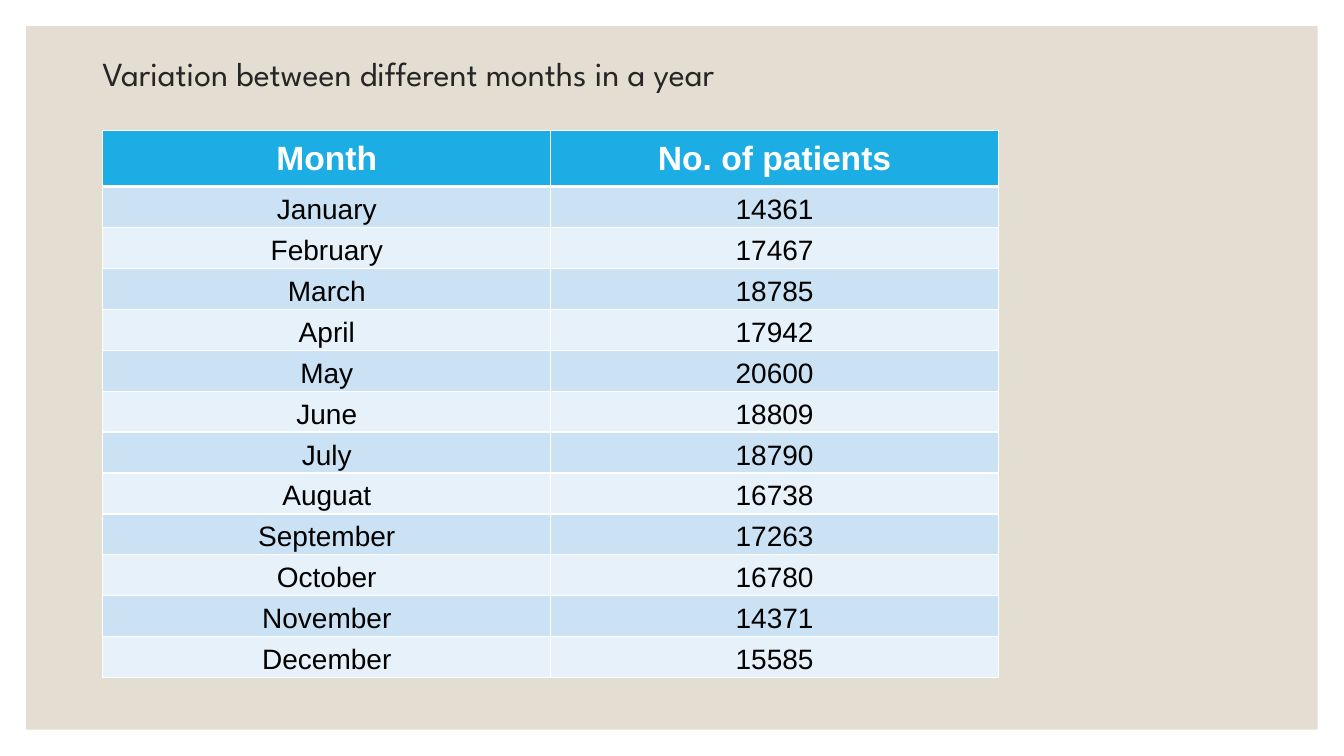
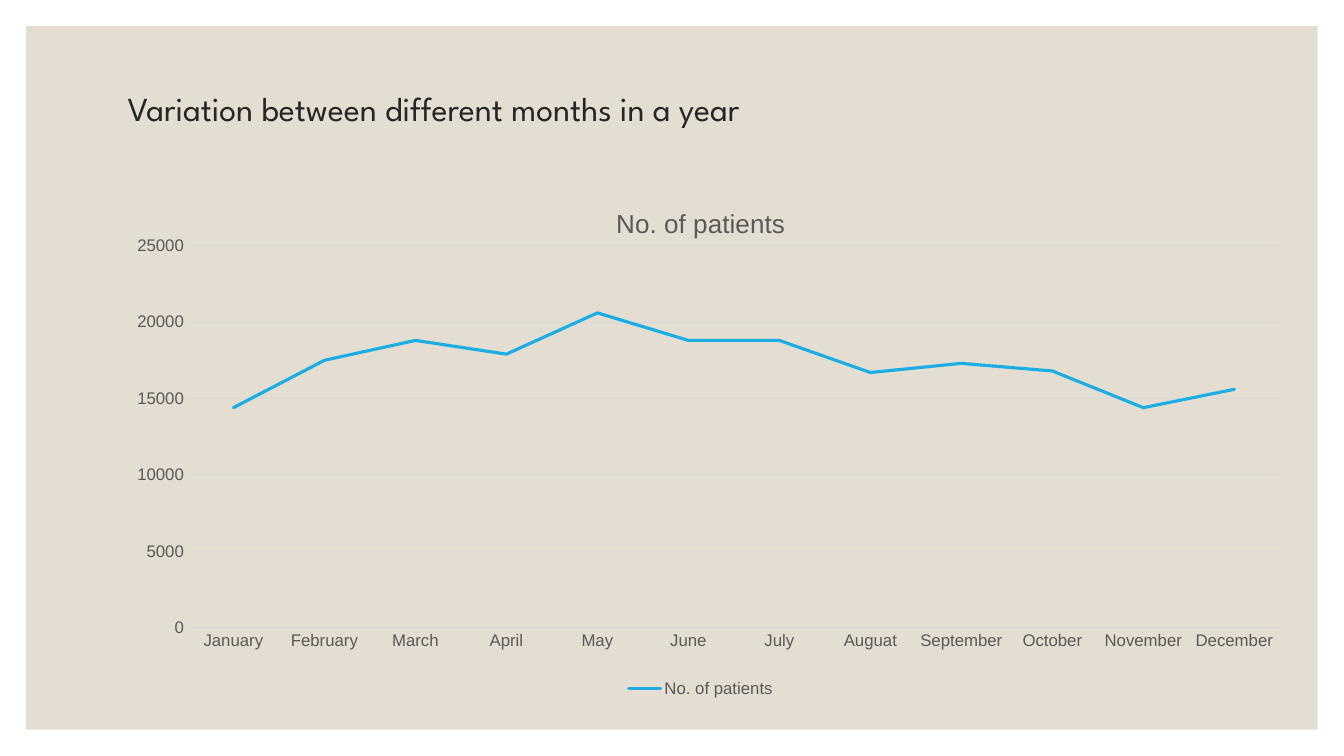
from lxml import etree
from pptx import Presentation
from pptx.chart.data import CategoryChartData
from pptx.dml.color import RGBColor
from pptx.enum.chart import XL_CHART_TYPE, XL_LEGEND_POSITION, XL_TICK_MARK
from pptx.enum.shapes import MSO_SHAPE
from pptx.enum.text import MSO_ANCHOR, MSO_AUTO_SIZE, PP_ALIGN
from pptx.oxml import parse_xml
from pptx.oxml.ns import nsdecls, qn
from pptx.util import Emu, Pt

# Shared look
WHITE = RGBColor(0xFF, 0xFF, 0xFF)
BLACK = RGBColor(0x00, 0x00, 0x00)
SAND = RGBColor(0xE3, 0xDE, 0xD1)
INK = RGBColor(0x26, 0x26, 0x26)
BLUE = RGBColor(0x1C, 0xAD, 0xE4)
BAND_DARK = RGBColor(0xCB, 0xE2, 0xF5)
BAND_LIGHT = RGBColor(0xE7, 0xF1, 0xFA)
GREY = RGBColor(0x59, 0x59, 0x59)
GRID = RGBColor(0xD9, 0xD9, 0xD9)
TITLE_FONT, BODY_FONT = "League Spartan", "Arial"

RECT = MSO_SHAPE.RECTANGLE
LEFT, CENTER = PP_ALIGN.LEFT, PP_ALIGN.CENTER
TOP, MIDDLE, BOTTOM = MSO_ANCHOR.TOP, MSO_ANCHOR.MIDDLE, MSO_ANCHOR.BOTTOM
NO_FIT = MSO_AUTO_SIZE.NONE
LINE_STACKED = XL_CHART_TYPE.LINE_STACKED
LEGEND_BOTTOM = XL_LEGEND_POSITION.BOTTOM
NO_TICK = XL_TICK_MARK.NONE

SLIDE_W, SLIDE_H = 1280, 720
TITLE_LAYOUT = 5
HEADING = "Variation between different months in a year"
MEASURE = "No. of patients"
PATIENTS = {
    "January": 14361, "February": 17467, "March": 18785, "April": 17942,
    "May": 20600, "June": 18809, "July": 18790, "Auguat": 16738,
    "September": 17263, "October": 16780, "November": 14371, "December": 15585,
}


def px(n):
    return Emu(n * 9525)


def px_box(box):
    return [px(n) for n in box]


def style_font(font, size, color, name=BODY_FONT, bold=False):
    font.size, font.name, font.bold = Pt(size), name, bold
    font.color.rgb = color


def add_titled_slide(prs, title_box):
    """Slide with the sand panel behind its title."""
    s = prs.slides.add_slide(prs.slide_layouts[TITLE_LAYOUT])
    s.background.fill.solid()
    s.background.fill.fore_color.rgb = WHITE

    # Panel
    panel = s.shapes.add_shape(RECT, *px_box((25, 25, 1230, 670)))
    panel.shadow.inherit = False
    panel.fill.solid()
    panel.fill.fore_color.rgb = SAND
    panel.line.fill.background()

    # Title
    title = s.shapes.title
    title.element.addprevious(panel.element)
    title.left, title.top, title.width, title.height = px_box(title_box)
    tf = title.text_frame
    tf.text = HEADING
    tf.word_wrap, tf.auto_size, tf.vertical_anchor = True, NO_FIT, MIDDLE
    p = tf.paragraphs[0]
    p.alignment, p.line_spacing = LEFT, 0.9
    style_font(p.runs[0].font, 24, INK, TITLE_FONT)
    return s


def set_borders(cell, top, bottom):
    """White cell borders; widths in points, sides always 1."""
    tc_pr = cell._tc.get_or_add_tcPr()
    for side, width in (("L", 1), ("R", 1), ("T", top), ("B", bottom)):
        tc_pr.append(parse_xml(
            f'<a:ln{side} {nsdecls("a")} w="{Pt(width)}"><a:solidFill>'
            f'<a:srgbClr val="{WHITE}"/></a:solidFill></a:ln{side}>'))


def fill_cell(cell, text, row):
    header = row == 0
    set_borders(cell, 3 if row == 1 else 1, 3 if header else 1)
    cell.fill.solid()
    cell.fill.fore_color.rgb = (
        BLUE if header else BAND_DARK if row % 2 else BAND_LIGHT)
    cell.margin_left = cell.margin_right = px(10 if header else 3)
    cell.margin_top = cell.margin_bottom = px(9 if header else 2)
    cell.vertical_anchor = TOP if header else BOTTOM
    cell.text = text
    p = cell.text_frame.paragraphs[0]
    p.alignment = CENTER
    if header:
        style_font(p.runs[0].font, 24, WHITE, bold=True)
    else:
        p.line_spacing = 1.15
        style_font(p.runs[0].font, 20, BLACK)


def add_month_table(s, box, header_h):
    rows = [("Month", MEASURE), *PATIENTS.items()]
    table = s.shapes.add_table(len(rows), 2, *px_box(box)).table
    for col in table.columns:
        col.width = px(box[2]) // 2
    body_h = (box[3] - header_h) // len(PATIENTS)
    for i, values in enumerate(rows):
        table.rows[i].height = px(body_h if i else header_h)
        for j, value in enumerate(values):
            fill_cell(table.cell(i, j), str(value), i)


def set_plot_layout(chart, plot_box, chart_box):
    """Fix the inner plot area, given relative to the chart's corner."""
    x, y, w, h = plot_box
    chart_w, chart_h = chart_box[2:]
    plot_area = chart._chartSpace.chart.plotArea
    for old in plot_area.findall(qn("c:layout")):
        plot_area.remove(old)
    layout = etree.Element(qn("c:layout"))
    manual = etree.SubElement(layout, qn("c:manualLayout"))
    for tag, value in (("layoutTarget", "inner"), ("xMode", "edge"),
                       ("yMode", "edge"), ("x", x / chart_w),
                       ("y", y / chart_h), ("w", w / chart_w),
                       ("h", h / chart_h)):
        etree.SubElement(manual, qn(f"c:{tag}")).set("val", str(value))
    plot_area.insert(0, layout)


def add_month_chart(s, box, plot_box):
    data = CategoryChartData()
    data.categories = list(PATIENTS)
    data.add_series(MEASURE, [round(n, -2) for n in PATIENTS.values()])
    chart = s.shapes.add_chart(LINE_STACKED, *px_box(box), data).chart
    style_font(chart.font, 10, BLACK)
    set_plot_layout(chart, plot_box, box)

    # Title and legend
    chart.has_title = True
    tf = chart.chart_title.text_frame
    tf.text = MEASURE
    style_font(tf.paragraphs[0].runs[0].font, 18.6, GREY)
    chart.has_legend = True
    chart.legend.position = LEGEND_BOTTOM
    chart.legend.include_in_layout = False
    style_font(chart.legend.font, 12, GREY)

    # Axes
    cat, val = chart.category_axis, chart.value_axis
    for axis in (cat, val):
        axis.major_tick_mark = axis.minor_tick_mark = NO_TICK
        style_font(axis.tick_labels.font, 12, GREY)
    val.minimum_scale, val.maximum_scale, val.major_unit = 0, 25000, 5000
    val.has_major_gridlines = True
    val.format.line.fill.background()
    for line in (cat.format.line, val.major_gridlines.format.line):
        line.color.rgb, line.width = GRID, Pt(0.75)

    # Series
    chart.plots[0].vary_by_categories = False
    series = chart.plots[0].series[0]
    series.smooth = False
    line = series.format.line
    line.color.rgb, line.width = BLUE, Pt(2.25)
    line._get_or_add_ln().set("cap", "rnd")


def main():
    prs = Presentation()
    prs.slide_width, prs.slide_height = px(SLIDE_W), px(SLIDE_H)
    s = add_titled_slide(prs, (88, 0, 1056, 144))
    add_month_table(s, (98, 124, 853, 521), header_h=53)
    s = add_titled_slide(prs, (112, 33, 1056, 144))
    add_month_chart(s, (112, 177, 1111, 491), plot_box=(67, 57, 1040, 364))
    prs.save("out.pptx")


if __name__ == "__main__":
    main()
